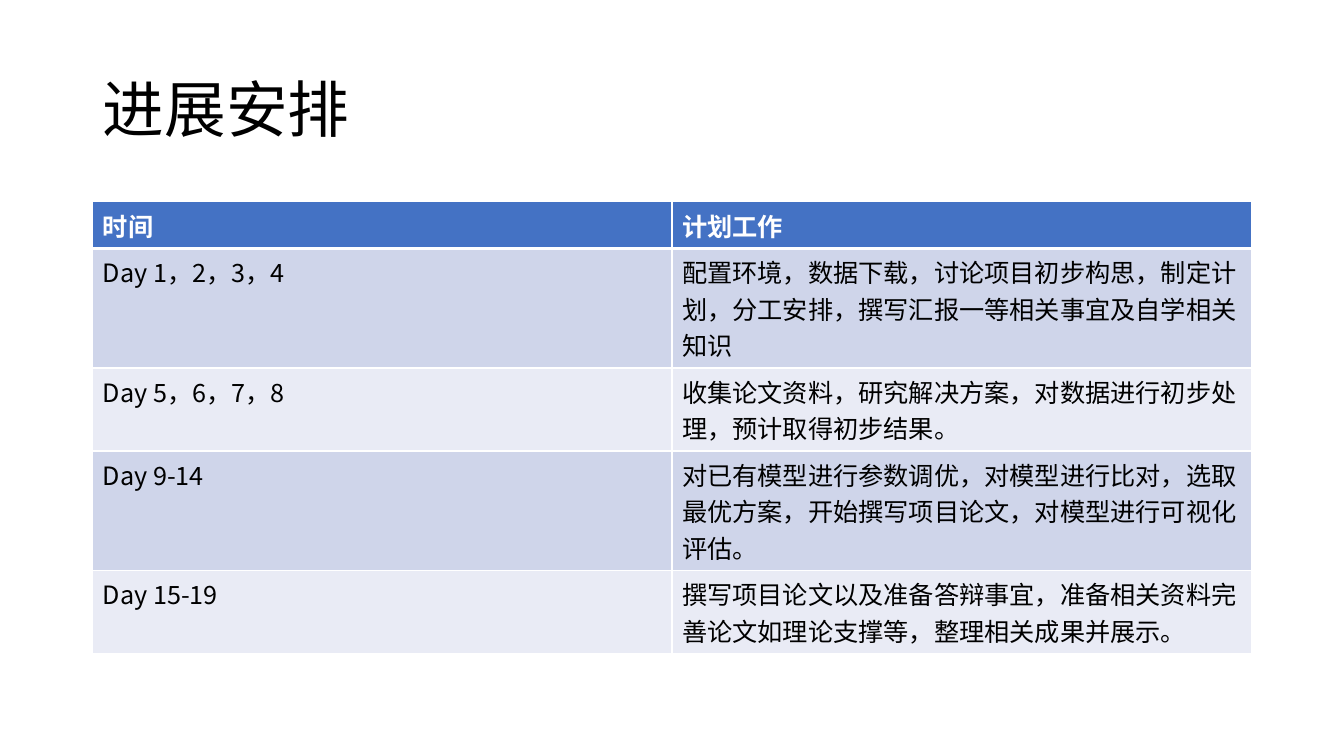
from dataclasses import dataclass

from pptx import Presentation
from pptx import util as u
from pptx.dml.color import RGBColor
from pptx.enum import text
from pptx.oxml import ns, xmlchemy

WHITE = RGBColor(0xFF, 0xFF, 0xFF)
BLACK = RGBColor(0x00, 0x00, 0x00)
HEADER_BLUE = RGBColor(0x44, 0x72, 0xC4)
BAND_DARK = RGBColor(0xCF, 0xD5, 0xEA)
BAND_LIGHT = RGBColor(0xE9, 0xEB, 0xF5)

FONT = "Noto Sans CJK SC"
SLIDE_WIDTH = u.Inches(13.33)
SLIDE_HEIGHT = u.Inches(7.5)
MARGIN = int(SLIDE_WIDTH * 0.069)
CONTENT_WIDTH = SLIDE_WIDTH - 2 * MARGIN
ROW_HEIGHT = u.Inches(0.41)


@dataclass(frozen=True)
class Stage:
    days: str
    work: str


HEADINGS = Stage("时间", "计划工作")
STAGES = [
    Stage("Day 1，2，3，4", "配置环境，数据下载，讨论项目初步构思，制定计划，分工安排，撰写汇报一等相关事宜及自学相关知识"),
    Stage("Day 5，6，7，8", "收集论文资料，研究解决方案，对数据进行初步处理，预计取得初步结果。"),
    Stage("Day 9-14", "对已有模型进行参数调优，对模型进行比对，选取最优方案，开始撰写项目论文，对模型进行可视化评估。"),
    Stage("Day 15-19", "撰写项目论文以及准备答辩事宜，准备相关资料完善论文如理论支撑等，整理相关成果并展示。"),
]


def add_words(paragraph, words: str, size: float, color: RGBColor, bold: bool = False) -> None:
    run = paragraph.add_run()
    run.text = words
    run.font.size = u.Pt(size)
    run.font.name = FONT
    run.font.bold = bold
    run.font.color.rgb = color
    east_asian = xmlchemy.OxmlElement("a:ea")
    east_asian.set("typeface", FONT)
    run.font._element.find(ns.qn("a:latin")).addnext(east_asian)


def set_borders(cell, bottom: float) -> None:
    properties = cell._tc.get_or_add_tcPr()
    widths = {"a:lnL": 1, "a:lnR": 1, "a:lnT": 1, "a:lnB": bottom}
    for position, (side, width) in enumerate(widths.items()):
        line = xmlchemy.OxmlElement(side)
        line.set("w", str(u.Pt(width)))
        fill = xmlchemy.OxmlElement("a:solidFill")
        color = xmlchemy.OxmlElement("a:srgbClr")
        color.set("val", str(WHITE))
        fill.append(color)
        line.append(fill)
        properties.insert(position, line)


def fill_cell(cell, words: str, background: RGBColor, is_heading: bool) -> None:
    cell.fill.solid()
    cell.fill.fore_color.rgb = background
    set_borders(cell, 3 if is_heading else 1)
    add_words(cell.text_frame.paragraphs[0], words, 18, WHITE if is_heading else BLACK, is_heading)


def add_title(slide, words: str) -> None:
    heading = slide.shapes.title
    heading.left, heading.top = MARGIN, int(SLIDE_HEIGHT * 0.053)
    heading.width, heading.height = CONTENT_WIDTH, int(SLIDE_HEIGHT * 0.193)
    frame = heading.text_frame
    frame.word_wrap = True
    frame.auto_size = text.MSO_AUTO_SIZE.NONE
    frame.vertical_anchor = text.MSO_ANCHOR.MIDDLE
    paragraph = frame.paragraphs[0]
    paragraph.alignment = text.PP_ALIGN.LEFT
    paragraph.line_spacing = 0.9
    add_words(paragraph, words, 44, BLACK)


def add_schedule(slide, headings: Stage, stages: list[Stage]) -> None:
    rows = [headings, *stages]
    schedule = slide.shapes.add_table(
        len(rows), 2, MARGIN, int(SLIDE_HEIGHT * 0.267), CONTENT_WIDTH, ROW_HEIGHT * len(rows)
    ).table
    for index, stage in enumerate(rows):
        schedule.rows[index].height = ROW_HEIGHT
        is_heading = index == 0
        band = BAND_DARK if index % 2 else BAND_LIGHT
        background = HEADER_BLUE if is_heading else band
        for column, words in enumerate((stage.days, stage.work)):
            fill_cell(schedule.cell(index, column), words, background, is_heading)


def main() -> None:
    deck = Presentation()
    deck.slide_width, deck.slide_height = SLIDE_WIDTH, SLIDE_HEIGHT
    slide = deck.slides.add_slide(deck.slide_layouts[5])
    add_title(slide, "进展安排")
    add_schedule(slide, HEADINGS, STAGES)
    deck.save("out.pptx")


if __name__ == "__main__":
    main()
